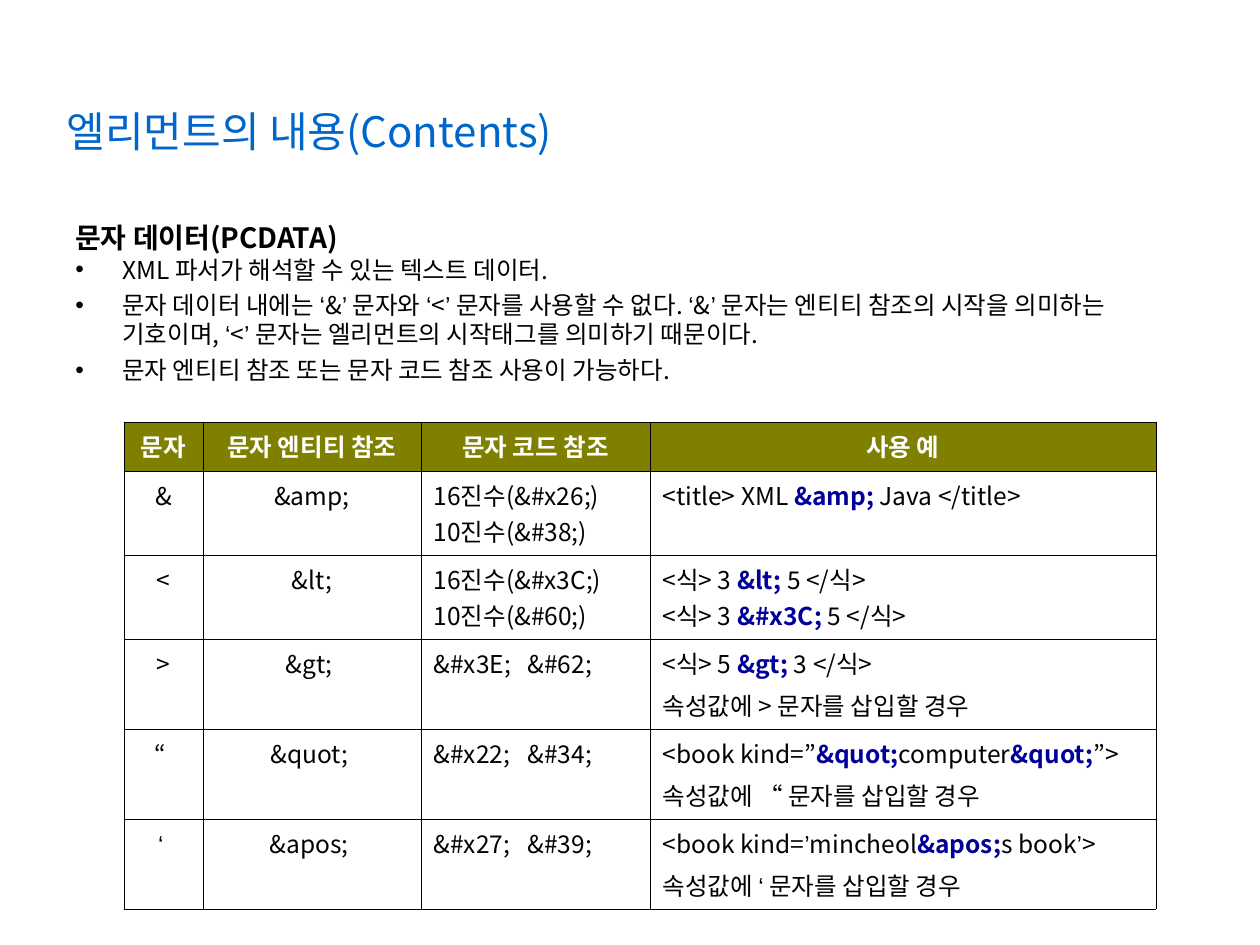
from dataclasses import dataclass
from itertools import groupby
from typing import NamedTuple

from lxml.etree import SubElement
from pptx import Presentation
from pptx.dml.color import RGBColor
from pptx.enum.text import MSO_ANCHOR, MSO_AUTO_SIZE, PP_ALIGN
from pptx.oxml.ns import qn
from pptx.util import Emu, Pt

PIXELS_PER_INCH = 126


def px(length: int) -> Emu:
    return Emu(round(length * 914400 / PIXELS_PER_INCH))


@dataclass(frozen=True)
class Theme:
    font: str = "Noto Sans CJK KR"
    quote_font: str = "Arial"
    title_color: str = "0066CC"
    text: str = "000000"
    emphasis: str = "000099"
    header_text: str = "FFFFFF"
    header_fill: str = "808000"
    border: str = "000000"
    border_width: float = 0.45
    title_size: int = 24
    heading_size: int = 16
    body_size: int = 14
    paragraph_gap: float = 3.5


THEME = Theme()


class Box(NamedTuple):
    left: int
    top: int
    width: int
    height: int


class TextStyle(NamedTuple):
    size: int = THEME.body_size
    color: str = THEME.text
    bold: bool = False


class BodyLine(NamedTuple):
    text: str
    style: TextStyle = TextStyle()
    bulleted: bool = True
    gap: float = THEME.paragraph_gap


class EntityRow(NamedTuple):
    character: str
    entity: str
    codes: tuple[str, ...]
    examples: tuple[str, ...]
    height: int
    gap: float = 0


TITLE_BOX = Box(54, 102, 605, 58)
BODY_BOX = Box(63, 221, 1133, 200)
TABLE_BOX = Box(124, 422, 1032, 487)
COLUMN_WIDTHS = (79, 218, 229, 506)
HEADER_HEIGHT = 49
BULLET_INDENT = 47
CODE_TAB = 94

BODY_LINES = (
    BodyLine("문자 데이터(PCDATA)", TextStyle(THEME.heading_size, bold=True), False, 0),
    BodyLine("XML 파서가 해석할 수 있는 텍스트 데이터.", gap=0),
    BodyLine("문자 데이터 내에는 ‘&’ 문자와 ‘<’ 문자를 사용할 수 없다. ‘&’ 문자는 엔티티 참조의 "
             "시작을 의미하는 기호이며, ‘<’ 문자는 엘리먼트의 시작태그를 의미하기 때문이다."),
    BodyLine("문자 엔티티 참조 또는 문자 코드 참조 사용이 가능하다."),
)
HEADERS = ("문자", "문자 엔티티 참조", "문자 코드 참조", "사용 예")
# Text between ** marks is emphasised.
ENTITY_ROWS = (
    EntityRow("&", "&amp;", ("16진수(&#x26;)", "10진수(&#38;)"),
              ("<title> XML **&amp;** Java </title>",), 84),
    EntityRow("<", "&lt;", ("16진수(&#x3C;)", "10진수(&#60;)"),
              ("<식> 3 **&lt;** 5 </식>", "<식> 3 **&#x3C;** 5 </식>"), 84),
    EntityRow(">", "&gt; ", ("&#x3E;\t&#62;",),
              ("<식> 5 **&gt;** 3 </식>", "속성값에 > 문자를 삽입할 경우"), 90, THEME.paragraph_gap),
    EntityRow("“ ", "&quot; ", ("&#x22;\t&#34;",),
              ("<book kind=”**&quot;**computer**&quot;**”>", "속성값에 “ 문자를 삽입할 경우"),
              90, THEME.paragraph_gap),
    EntityRow("‘ ", "&apos; ", ("&#x27;\t&#39;",),
              ("<book kind=’mincheol**&apos;**s book’>", "속성값에 ‘ 문자를 삽입할 경우"),
              90, THEME.paragraph_gap),
)


def add_run(paragraph, text: str, style: TextStyle, font_name: str) -> None:
    run = paragraph.add_run()
    run.text = text
    values = {"name": font_name, "size": Pt(style.size), "bold": style.bold}
    for attribute, value in values.items():
        setattr(run.font, attribute, value)
    run.font.color.rgb = RGBColor.from_string(style.color)
    SubElement(run.font._element, qn("a:ea"), typeface=font_name)


def write_text(paragraph, text: str, style: TextStyle) -> None:
    """Emphasise text between ** marks and give single quotes their own font."""
    emphasis = style._replace(color=THEME.emphasis, bold=True)
    for index, part in enumerate(text.split("**")):
        part_style = emphasis if index % 2 else style
        for is_quote, characters in groupby(part, lambda character: character in "‘’"):
            font_name = THEME.quote_font if is_quote else THEME.font
            add_run(paragraph, "".join(characters), part_style, font_name)


def next_paragraph(frame, index: int, gap: float):
    paragraph = frame.paragraphs[0] if index == 0 else frame.add_paragraph()
    paragraph.space_before = Pt(gap if index else 0)
    return paragraph


def add_title(slide, text: str) -> None:
    title = slide.shapes.title
    for attribute, value in TITLE_BOX._asdict().items():
        setattr(title, attribute, px(value))
    frame = title.text_frame
    frame.auto_size = MSO_AUTO_SIZE.NONE
    frame.vertical_anchor = MSO_ANCHOR.MIDDLE
    paragraph = frame.paragraphs[0]
    paragraph.alignment = PP_ALIGN.LEFT
    write_text(paragraph, text, TextStyle(THEME.title_size, THEME.title_color))


def add_bullet(paragraph) -> None:
    properties = paragraph._p.get_or_add_pPr()
    properties.set("marL", str(px(BULLET_INDENT)))
    properties.set("indent", str(-px(BULLET_INDENT)))
    SubElement(properties, qn("a:buFont"), typeface=THEME.quote_font)
    SubElement(properties, qn("a:buChar"), char="•")


def add_body(slide) -> None:
    frame = slide.shapes.add_textbox(*map(px, BODY_BOX)).text_frame
    frame.word_wrap = True
    frame.margin_top = 0
    for index, line in enumerate(BODY_LINES):
        paragraph = next_paragraph(frame, index, line.gap)
        if line.bulleted:
            add_bullet(paragraph)
        write_text(paragraph, line.text, line.style)


def add_borders(cell) -> None:
    properties = cell._tc.get_or_add_tcPr()
    for position, side in enumerate(("lnL", "lnR", "lnT", "lnB")):
        line = SubElement(properties, qn(f"a:{side}"), w=str(Pt(THEME.border_width)))
        fill = SubElement(line, qn("a:solidFill"))
        SubElement(fill, qn("a:srgbClr"), val=THEME.border)
        properties.insert(position, line)


def fill_cell(cell, lines: tuple[str, ...], alignment: PP_ALIGN, gap: float = 0,
              style: TextStyle = TextStyle(), fill: str | None = None) -> None:
    if fill:
        cell.fill.solid()
        cell.fill.fore_color.rgb = RGBColor.from_string(fill)
    else:
        cell.fill.background()
    add_borders(cell)
    for index, text in enumerate(lines):
        paragraph = next_paragraph(cell.text_frame, index, gap)
        paragraph.alignment = alignment
        if "\t" in text:
            tabs = SubElement(paragraph._p.get_or_add_pPr(), qn("a:tabLst"))
            SubElement(tabs, qn("a:tab"), pos=str(px(CODE_TAB)), algn="l")
        write_text(paragraph, text, style)


def add_entity_table(slide) -> None:
    table = slide.shapes.add_table(
        len(ENTITY_ROWS) + 1, len(HEADERS), *map(px, TABLE_BOX)).table
    table.first_row = table.horz_banding = False
    for column, width in zip(table.columns, COLUMN_WIDTHS):
        column.width = px(width)
    heights = (HEADER_HEIGHT, *(row.height for row in ENTITY_ROWS))
    for table_row, height in zip(table.rows, heights):
        table_row.height = px(height)
    header_style = TextStyle(color=THEME.header_text, bold=True)
    for column, header in enumerate(HEADERS):
        fill_cell(table.cell(0, column), (header,), PP_ALIGN.CENTER,
                  style=header_style, fill=THEME.header_fill)
    alignments = (PP_ALIGN.CENTER, PP_ALIGN.CENTER, PP_ALIGN.LEFT, PP_ALIGN.LEFT)
    for row_index, row in enumerate(ENTITY_ROWS, start=1):
        contents = ((row.character,), (row.entity,), row.codes, row.examples)
        for column, (lines, alignment) in enumerate(zip(contents, alignments)):
            fill_cell(table.cell(row_index, column), lines, alignment, row.gap)


def main() -> None:
    presentation = Presentation()
    presentation.slide_width, presentation.slide_height = px(1260), px(945)
    slide = presentation.slides.add_slide(presentation.slide_layouts[5])
    add_title(slide, "엘리먼트의 내용(Contents)")
    add_body(slide)
    add_entity_table(slide)
    presentation.save("out.pptx")


if __name__ == "__main__":
    main()
